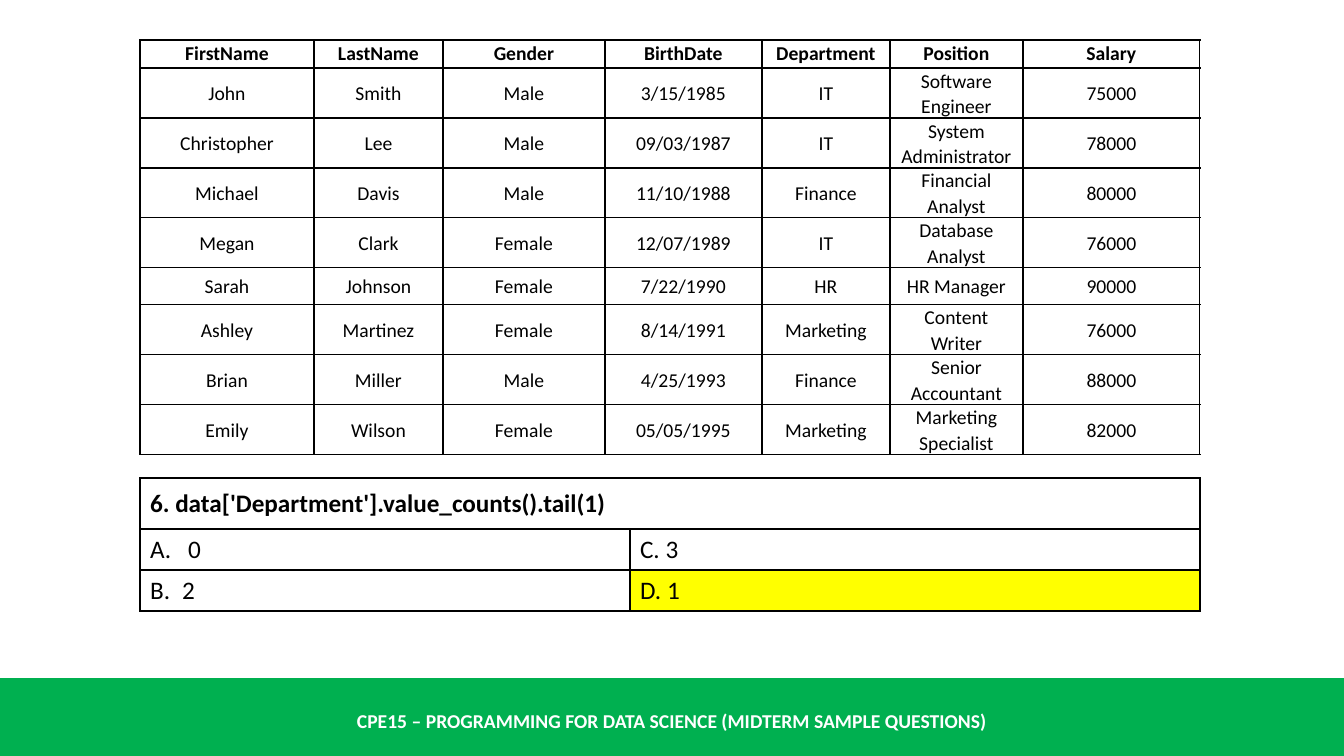
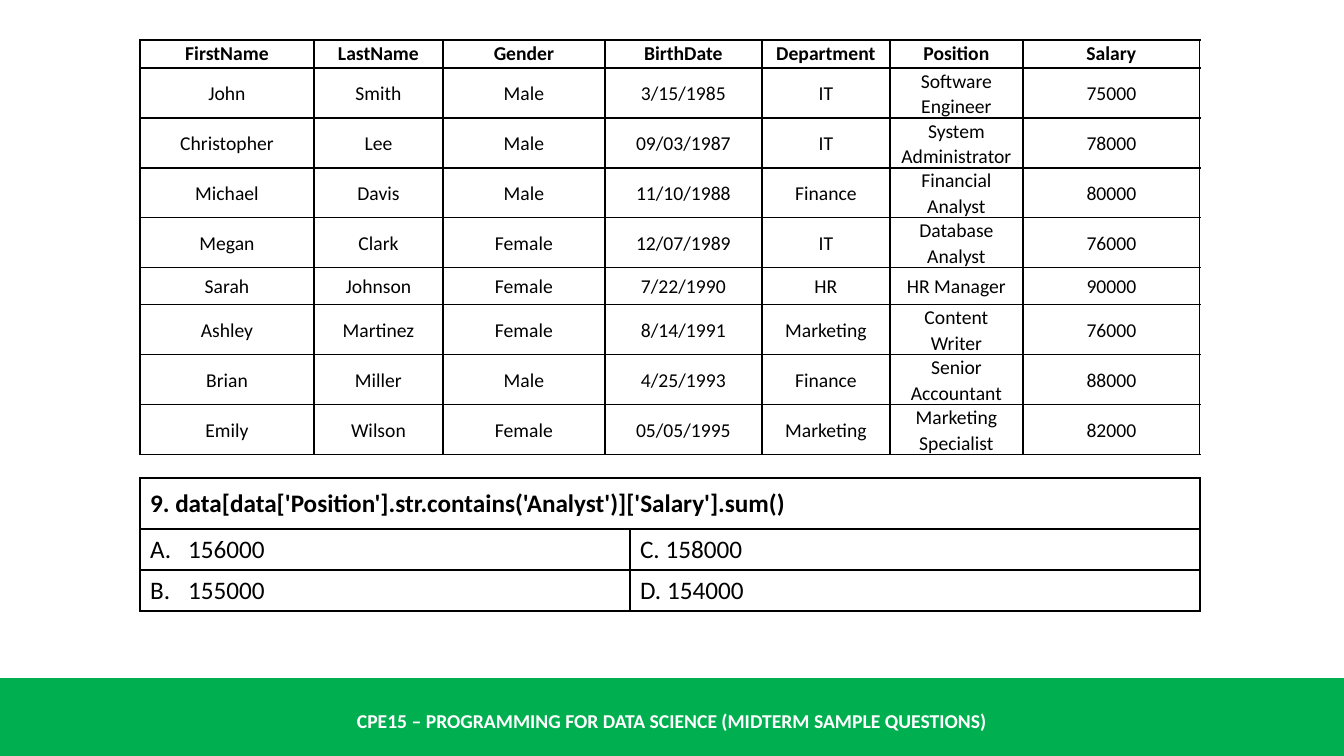
from dataclasses import dataclass

from lxml import etree
from pptx import Presentation
from pptx import util as u
from pptx.dml import color
from pptx.enum import shapes, text
from pptx.oxml import ns


@dataclass(frozen=True)
class Theme:
    font: str = "Calibri"
    ink: str = "000000"
    white: str = "FFFFFF"
    band: str = "00B050"
    answer: str = "FFFF00"
    small: int = 14
    large: int = 18
    line_spacing: float = 1.06


theme = Theme()
PX = 914400 / 100.8
SLIDE_WIDTH, SLIDE_HEIGHT = 1344, 756
TABLE_LEFT, TABLE_WIDTH = 140, 1060


def px(*lengths):
    return [u.Emu(round(length * PX)) for length in lengths]


def write(paragraph, words, size, bold=False, ink=theme.ink):
    run = paragraph.add_run()
    run.text = words
    run.font.name = theme.font
    run.font.size = u.Pt(size)
    run.font.bold = bold
    run.font.color.rgb = color.RGBColor.from_string(ink)


presentation = Presentation()
presentation.slide_width, presentation.slide_height = px(SLIDE_WIDTH, SLIDE_HEIGHT)
layout = presentation.slide_layouts[6]

# Content
employees = [
    ["FirstName", "LastName", "Gender", "BirthDate", "Department", "Position", "Salary"],
    ["John", "Smith", "Male", "3/15/1985", "IT", "Software Engineer", "75000"],
    ["Christopher", "Lee", "Male", "09/03/1987", "IT", "System Administrator", "78000"],
    ["Michael", "Davis", "Male", "11/10/1988", "Finance", "Financial Analyst", "80000"],
    ["Megan", "Clark", "Female", "12/07/1989", "IT", "Database Analyst", "76000"],
    ["Sarah", "Johnson", "Female", "7/22/1990", "HR", "HR Manager", "90000"],
    ["Ashley", "Martinez", "Female", "8/14/1991", "Marketing", "Content Writer", "76000"],
    ["Brian", "Miller", "Male", "4/25/1993", "Finance", "Senior Accountant", "88000"],
    ["Emily", "Wilson", "Female", "05/05/1995", "Marketing", "Marketing Specialist", "82000"],
]
employee_columns = [174, 129, 162, 157, 128, 133, 177]
employee_rows = [28, 50, 50, 50, 50, 37, 50, 50, 50]
question_columns = [490, 570]
question_rows = [51, 41, 41]

# Each question: heading, option rows, hanging indents of A and B, marked answer
questions = [
    ("6. data['Department'].value_counts().tail(1)",
     [["0", "C. 3"], ["2", "D. 1"]], [38, 32], "D. 1"),
    ("9. data[data['Position'].str.contains('Analyst')]['Salary'].sum()",
     [["156000", "C. 158000"], ["155000", "D. 154000"]], [38, 38], None),
]

slides = [presentation.slides.add_slide(layout) for question in questions]

# Shared footer band, moved to the layout
band = slides[0].shapes.add_shape(
    shapes.MSO_SHAPE.RECTANGLE, *px(0, 678, SLIDE_WIDTH, 78))
band.shadow.inherit = False
band.fill.solid()
band.fill.fore_color.rgb = color.RGBColor.from_string(theme.band)
band.line.fill.background()
footer = slides[0].shapes.add_textbox(*px(0, 701, SLIDE_WIDTH, 40))
footer.text_frame.word_wrap = True
footer.text_frame.vertical_anchor = text.MSO_ANCHOR.MIDDLE
footer_paragraph = footer.text_frame.paragraphs[0]
footer_paragraph.alignment = text.PP_ALIGN.CENTER
write(footer_paragraph, "CPE15 – PROGRAMMING FOR DATA SCIENCE (MIDTERM SAMPLE QUESTIONS)",
      theme.small, True, theme.white)

layout_tree = layout.shapes[0].element.getparent()
for placeholder in list(layout.placeholders):
    layout_tree.remove(placeholder.element)
for shape in (band, footer):
    layout_tree.append(shape.element)

for slide, (heading, options, indents, answer) in zip(slides, questions):
    # Grids with thin black borders
    tables = []
    for top, columns, rows in ((40, employee_columns, employee_rows),
                               (478, question_columns, question_rows)):
        table = slide.shapes.add_table(
            len(rows), len(columns), *px(TABLE_LEFT, top, TABLE_WIDTH, sum(rows))).table
        table.first_row = table.horz_banding = False
        for column, width in zip(table.columns, px(*columns)):
            column.width = width
        for row, height in zip(table.rows, px(*rows)):
            row.height = height
        for cell in table.iter_cells():
            cell.vertical_anchor = text.MSO_ANCHOR.MIDDLE
            properties = cell._tc.get_or_add_tcPr()
            for side in ("a:lnL", "a:lnR", "a:lnT", "a:lnB"):
                border = etree.SubElement(properties, ns.qn(side), w=str(u.Pt(1)))
                border_fill = etree.SubElement(border, ns.qn("a:solidFill"))
                etree.SubElement(border_fill, ns.qn("a:srgbClr"), val=theme.ink)
            cell.fill.background()
        tables.append(table)
    employee_table, question_table = tables

    # Employee data
    for row_index, record in enumerate(employees):
        is_header = row_index == 0
        for column_index, value in enumerate(record):
            cell = employee_table.cell(row_index, column_index)
            cell.margin_left, cell.margin_right, cell.margin_top, cell.margin_bottom = px(7, 7, 0, 0)
            if is_header:
                cell.vertical_anchor = text.MSO_ANCHOR.TOP
            paragraph = cell.text_frame.paragraphs[0]
            paragraph.alignment = text.PP_ALIGN.CENTER
            paragraph.line_spacing = theme.line_spacing
            write(paragraph, value, theme.small, is_header)

    # Question and its options
    heading_cell = question_table.cell(0, 0)
    heading_cell.merge(question_table.cell(0, 1))
    write(heading_cell.text_frame.paragraphs[0], heading, theme.large, True)
    for option_index, (option_row, indent) in enumerate(zip(options, px(*indents)), start=1):
        for column_index, option in enumerate(option_row):
            cell = question_table.cell(option_index, column_index)
            paragraph = cell.text_frame.paragraphs[0]
            if column_index == 0:
                numbering = paragraph._p.get_or_add_pPr()
                numbering.set("marL", str(indent))
                numbering.set("indent", str(-indent))
                etree.SubElement(numbering, ns.qn("a:buFont"), typeface=theme.font)
                etree.SubElement(numbering, ns.qn("a:buAutoNum"),
                                 type="alphaUcPeriod", startAt=str(option_index))
            write(paragraph, option, theme.large)
            if option == answer:
                cell.fill.solid()
                cell.fill.fore_color.rgb = color.RGBColor.from_string(theme.answer)

presentation.save("out.pptx")
